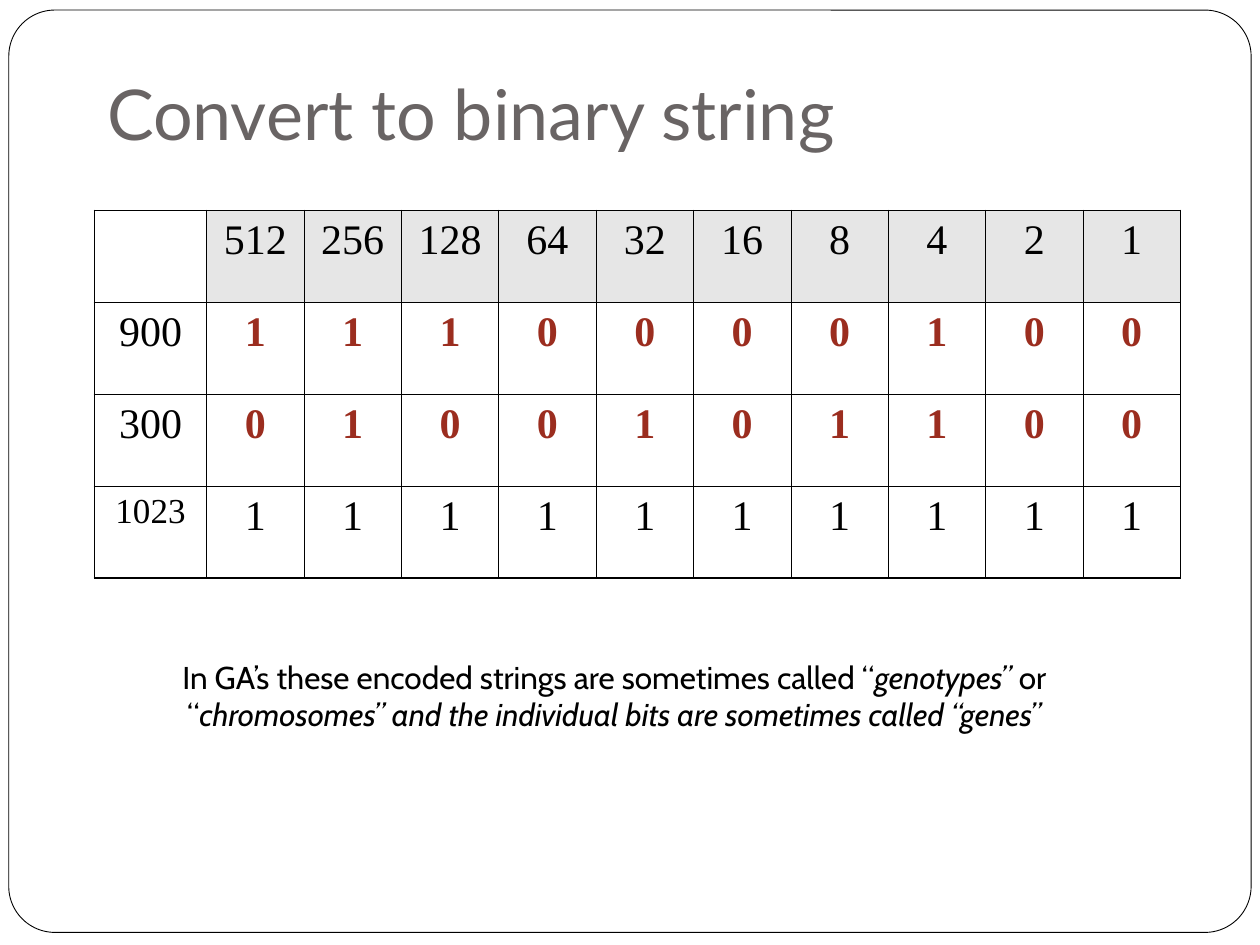
from dataclasses import dataclass

from lxml.etree import SubElement
from pptx import Presentation
from pptx.dml.color import RGBColor
from pptx.enum.shapes import MSO_SHAPE
from pptx.enum.text import MSO_ANCHOR, PP_ALIGN
from pptx.oxml.ns import qn
from pptx.util import Inches, Pt


@dataclass(frozen=True)
class Theme:
    """Colours, fonts, sizes and line widths of the slide."""
    ink: str = "000000"
    paper: str = "FFFFFF"
    title: str = "696464"
    accent: str = "9B2D1F"
    header: str = "E6E6E6"
    title_font: str = "Lato"
    table_font: str = "Times New Roman"
    note_font: str = "Cabin"
    title_size: float = 40
    cell_size: float = 24
    small_size: float = 20
    note_size: float = 18
    frame_line: float = 0.5
    inner_line: float = 0.45
    outer_line: float = 1.08


THEME = Theme()
UNIT = 0.25
BIT_COUNT = 10
ENCODED_VALUES = (900, 300, 1023)
LARGEST = 2 ** BIT_COUNT - 1
NOTE_RUNS = (
    ("In GA’s these encoded strings are sometimes called “", False),
    ("genotypes”", True),
    (" or “", False),
    ("chromosomes” and the individual bits are sometimes called “genes”", True),
)


def grid(*units):
    """Turn grid units into lengths."""
    return [Inches(unit * UNIT) for unit in units]


def style(paragraph, name, size, color, bold=False):
    """Set the font of a whole paragraph."""
    font = paragraph.font
    font.name, font.size, font.bold = name, Pt(size), bold
    font.color.rgb = RGBColor.from_string(color)


def add_frame(slide, box):
    """Place the rounded frame behind everything else."""
    frame = slide.shapes.add_shape(MSO_SHAPE.ROUNDED_RECTANGLE, *grid(*box))
    frame.adjustments[0] = 0.05
    frame.shadow.inherit = False
    frame.fill.solid()
    frame.fill.fore_color.rgb = RGBColor.from_string(THEME.paper)
    frame.line.color.rgb = RGBColor.from_string(THEME.ink)
    frame.line.width = Pt(THEME.frame_line)
    slide.shapes._spTree.insert(2, frame._element)


def add_title(slide, box, text):
    """Fill the title placeholder."""
    title = slide.shapes.title
    title.left, title.top, title.width, title.height = grid(*box)
    text_frame = title.text_frame
    text_frame.text = text
    text_frame.vertical_anchor = MSO_ANCHOR.BOTTOM
    text_frame.margin_bottom = Inches(0.1)
    paragraph = text_frame.paragraphs[0]
    paragraph.alignment = PP_ALIGN.LEFT
    style(paragraph, THEME.title_font, THEME.title_size, THEME.title)


def set_borders(cell, outer_sides):
    """Draw the four cell borders, heavier on the outer sides."""
    properties = cell._tc.get_or_add_tcPr()
    for side in "LRTB":
        width = THEME.outer_line if side in outer_sides else THEME.inner_line
        line = SubElement(properties, qn(f"a:ln{side}"), w=str(Pt(width)))
        fill = SubElement(line, qn("a:solidFill"))
        SubElement(fill, qn("a:srgbClr"), val=THEME.ink)


def fill_cell(cell, text, row, column):
    """Write and format one cell according to its place."""
    if row == 0 and column > 0:
        cell.fill.solid()
        cell.fill.fore_color.rgb = RGBColor.from_string(THEME.header)
    else:
        cell.fill.background()
    if not text:
        return
    cell.text = text
    paragraph = cell.text_frame.paragraphs[0]
    paragraph.alignment = PP_ALIGN.CENTER
    is_bit = row > 0 and column > 0 and ENCODED_VALUES[row - 1] != LARGEST
    size = THEME.small_size if len(text) > 3 else THEME.cell_size
    color = THEME.accent if is_bit else THEME.ink
    style(paragraph, THEME.table_font, size, color, is_bit)


def add_bit_table(slide, box, label_width):
    """Tabulate the binary digits of each value under their place values."""
    places = [str(2 ** power) for power in reversed(range(BIT_COUNT))]
    rows = [["", *places]]
    rows += [[str(value), *f"{value:0{BIT_COUNT}b}"] for value in ENCODED_VALUES]
    last_row, last_column = len(rows) - 1, BIT_COUNT
    table = slide.shapes.add_table(len(rows), BIT_COUNT + 1, *grid(*box)).table
    table.first_row = table.horz_banding = False
    bit_width = (box[2] - label_width) / BIT_COUNT
    for index, column in enumerate(table.columns):
        column.width = grid(bit_width if index else label_width)[0]
    for row, texts in enumerate(rows):
        for column, text in enumerate(texts):
            edges = {"L": column == 0, "R": column == last_column,
                     "T": row == 0, "B": row == last_row}
            cell = table.cell(row, column)
            set_borders(cell, [side for side, outer in edges.items() if outer])
            fill_cell(cell, text, row, column)


def add_note(slide, box):
    """Add the centred remark with its italic terms."""
    text_frame = slide.shapes.add_textbox(*grid(*box)).text_frame
    text_frame.word_wrap = True
    paragraph = text_frame.paragraphs[0]
    paragraph.alignment = PP_ALIGN.CENTER
    style(paragraph, THEME.note_font, THEME.note_size, THEME.ink)
    for text, italic in NOTE_RUNS:
        run = paragraph.add_run()
        run.text = text
        run.font.italic = italic


def main():
    """Build and save the slide."""
    presentation = Presentation()
    presentation.slide_width, presentation.slide_height = grid(40, 30)
    slide = presentation.slides.add_slide(presentation.slide_layouts[5])
    add_frame(slide, (0.28, 0.32, 39.44, 29.28))
    add_title(slide, (3, 1, 34, 4.32), "Convert to binary string")
    add_bit_table(slide, (3, 6.68, 34.48, 11.68), label_width=3.56)
    add_note(slide, (3, 20.68, 33, 2.8))
    presentation.save("out.pptx")


if __name__ == "__main__":
    main()
